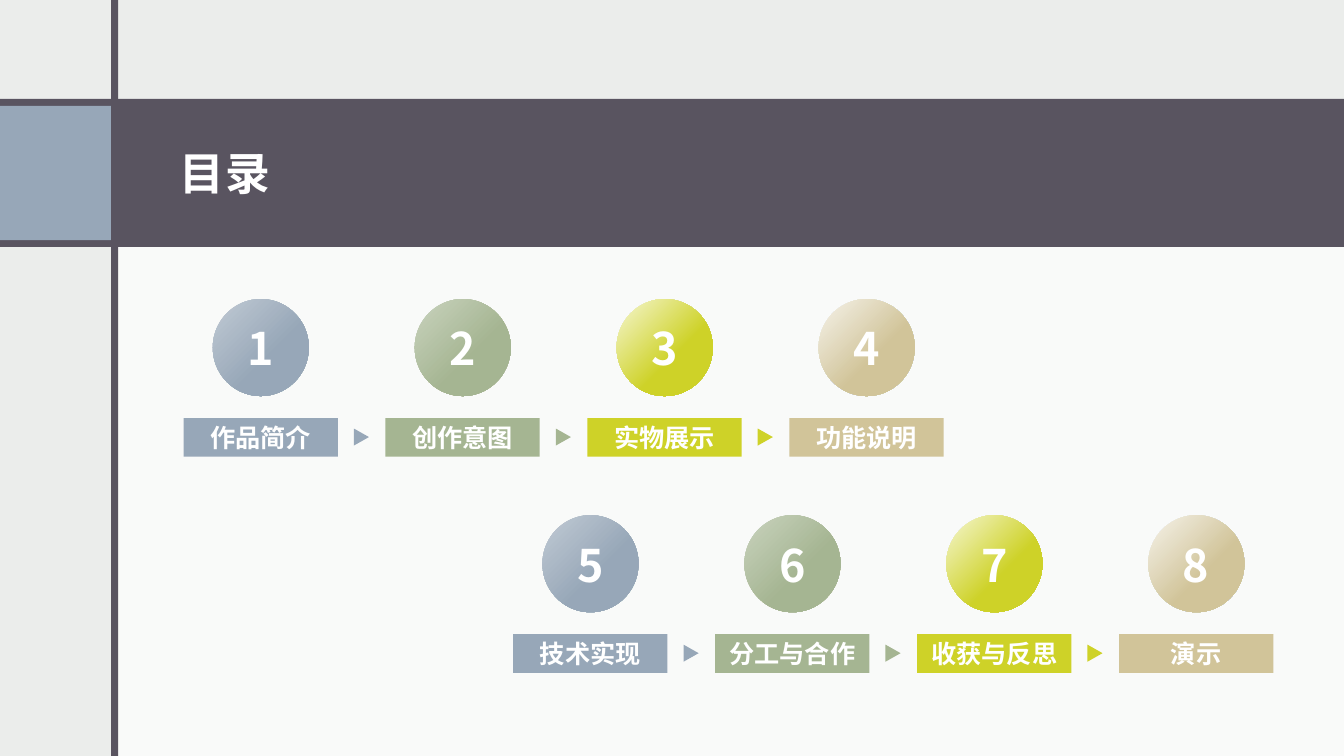
from pptx import Presentation
from pptx.dml.color import RGBColor
from pptx.enum.shapes import MSO_SHAPE
from pptx.enum.text import MSO_ANCHOR, MSO_AUTO_SIZE, PP_ALIGN
from pptx.oxml.ns import qn
from pptx.util import Pt
from lxml.etree import SubElement

TITLE = "目录"
ROWS = [
    (131.1, 0, ["作品简介", "创作意图", "实物展示", "功能说明"]),
    (366.6, 154.4, ["技术实现", "分工与合作", "收获与反思", "演示"]),
]
FONT = "Noto Sans CJK SC"
COLORS = {
    "paper": "EBEDEB", "white": "FFFFFF", "plum": "595460",
    "blue": "97A7B8", "green": "A5B592", "lime": "CED228", "sand": "D1C499",
    "blue_tint": "C1CAD4", "green_tint": "C9D3BE",
    "lime_tint": "F6F7D3", "sand_tint": "F6F3EB",
}
STEPS = ["blue", "green", "lime", "sand"]
PITCH = 144.25
PANELS = [
    ("white", (82.1, 167.8, 877.9, 372.2), 75),
    ("plum", (0, 70.6, 960, 105.8), 100),
    ("blue", (0, 75.6, 79.2, 96), 100),
    ("plum", (79.4, 0, 5, 540), 100),
]
PARTS = {
    "disc": (20.9, 213.6, 68.6, 69.3),
    "digit": (31, 229.5, 48.2, 38.2),
    "bar": (0, 298.6, 110.2, 27.6),
    "label": (3.6, 295.9, 103, 32.4),
    "arrow": (-23.3, 306.8, 12.2, 10.8),
}
FIT = MSO_AUTO_SIZE.SHAPE_TO_FIT_TEXT
STYLES = {
    "title": dict(size=32, inset=7.2, align=PP_ALIGN.LEFT, fit=MSO_AUTO_SIZE.NONE),
    "digit": dict(size=32, inset=0, align=PP_ALIGN.CENTER, fit=FIT),
    "label": dict(size=18, inset=3.6, align=PP_ALIGN.CENTER, fit=FIT),
}


def rgb(name):
    return RGBColor.from_string(COLORS[name])


def apply(target, values):
    for key, value in values.items():
        setattr(target, key, value)


def draw(host, kind, box, color, tint=None, alpha=100):
    shape = host.add_shape(kind, *map(Pt, box))
    shape.shadow.inherit = False
    shape.line.fill.background()
    if tint:
        shape.fill.gradient()
        shape.fill.gradient_angle = 315
        stops = zip(shape.fill.gradient_stops, [(0, tint), (0.6, color)])
        for stop, (place, name) in stops:
            stop.position = place
            stop.color.rgb = rgb(name)
    else:
        shape.fill.solid()
        shape.fill.fore_color.rgb = rgb(color)
    if alpha < 100:
        node = shape.fill._xPr.find(".//" + qn("a:srgbClr"))
        SubElement(node, qn("a:alpha"), val=str(alpha * 1000))
    return shape


def write(host, text, box, style):
    frame = host.add_textbox(*map(Pt, box)).text_frame
    sides = ("left", "right", "top", "bottom")
    apply(frame, {f"margin_{side}": Pt(style["inset"]) for side in sides})
    apply(frame, {"word_wrap": True, "auto_size": style["fit"],
                  "vertical_anchor": MSO_ANCHOR.MIDDLE})
    para = frame.paragraphs[0]
    para.alignment = style["align"]
    run = para.add_run()
    run.text = text
    apply(run.font, {"size": Pt(style["size"]), "bold": True, "name": FONT})
    run.font.color.rgb = rgb("white")
    props = run.font._element
    SubElement(props, qn("a:ea"), typeface=FONT)
    return props


def main():
    """Build the contents slide with two staggered rows of steps."""
    deck = Presentation()
    apply(deck, {"slide_width": Pt(960), "slide_height": Pt(540)})
    slide = deck.slides.add_slide(deck.slide_layouts[6])
    slide.background.fill.solid()
    slide.background.fill.fore_color.rgb = rgb("paper")
    for color, box, alpha in PANELS:
        draw(slide.shapes, MSO_SHAPE.RECTANGLE, box, color, alpha=alpha)
    title = write(slide.shapes, TITLE, (121, 75.6, 788.4, 96), STYLES["title"])
    title.set("spc", "100")

    count = 0
    for left, drop, labels in ROWS:
        group = slide.shapes.add_group_shape().shapes
        for col, (label, color) in enumerate(zip(labels, STEPS)):
            count += 1
            shift = left + col * PITCH
            spot = {name: (x + shift, y + drop, w, h)
                    for name, (x, y, w, h) in PARTS.items()}
            draw(group, MSO_SHAPE.OVAL, spot["disc"], color, color + "_tint")
            write(group, str(count), spot["digit"], STYLES["digit"])
            draw(group, MSO_SHAPE.RECTANGLE, spot["bar"], color)
            write(group, label, spot["label"], STYLES["label"])
            if col:
                arrow = draw(group, MSO_SHAPE.ISOSCELES_TRIANGLE,
                             spot["arrow"], STEPS[col - 1])
                arrow.rotation = 90
    deck.save("out.pptx")


if __name__ == "__main__":
    main()
